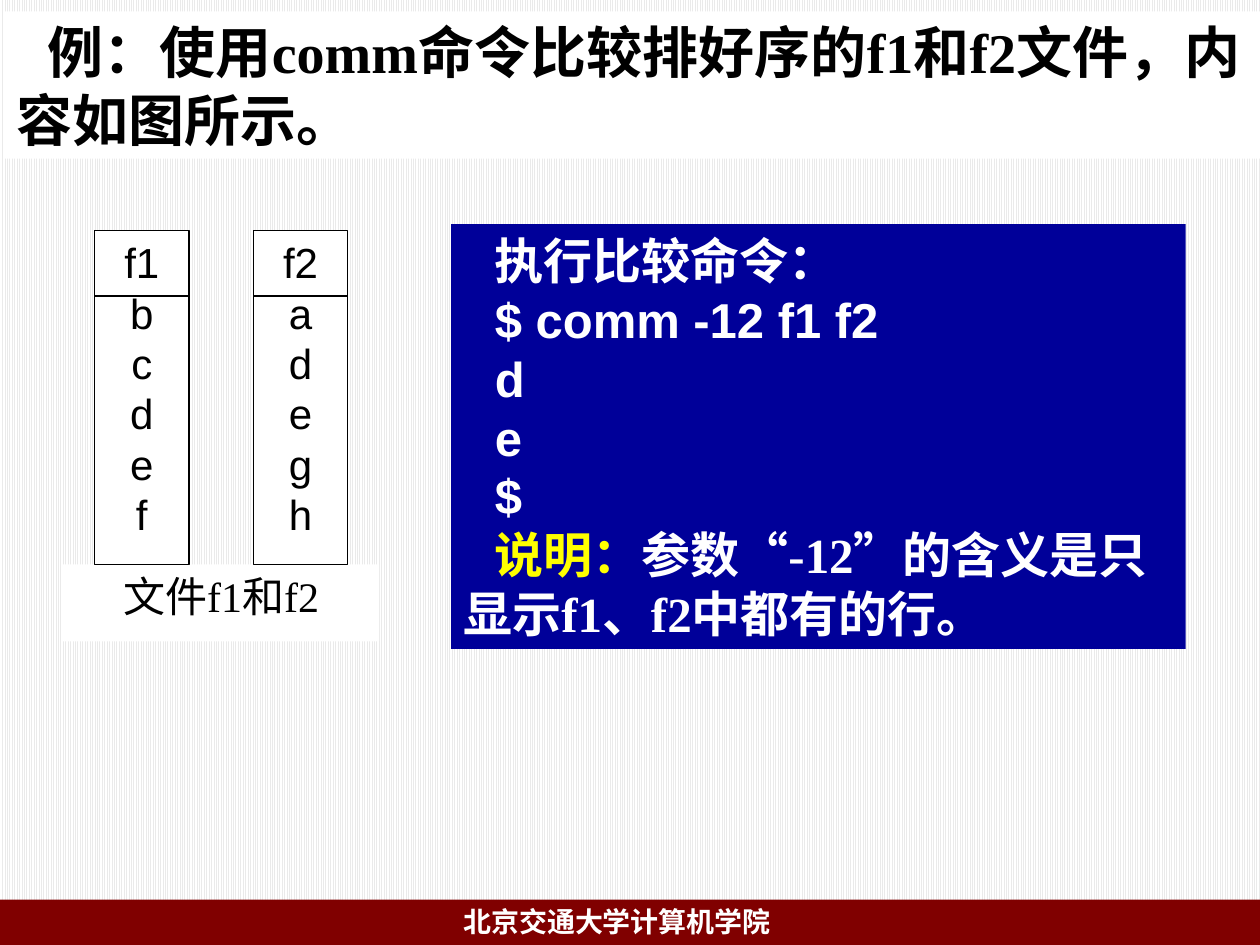
from pptx import Presentation
from pptx.dml.color import RGBColor as Color
from pptx.enum.dml import MSO_PATTERN as Pattern
from pptx.enum.shapes import MSO_CONNECTOR as Connector, MSO_SHAPE as Shape
from pptx.enum.text import MSO_ANCHOR as Anchor, PP_ALIGN as Align
from pptx.oxml.ns import qn
from pptx.util import Inches, Pt
from lxml.etree import SubElement

theme = {
    "white": Color(255, 255, 255), "black": Color(0, 0, 0),
    "stripe": Color(0xEA, 0xEA, 0xEA), "footer": Color(0x80, 0, 0),
    "panel": Color(0, 0, 0x99), "accent": Color(255, 255, 0),
    "serif": "Times New Roman", "sans": "Arial",
    "title": Pt(32), "command": Pt(28), "file": Pt(24), "school": Pt(16),
    "rule": Pt(0.75), "indent": Inches(0.25),
}

deck = Presentation()
deck.slide_width, deck.slide_height = Inches(10), Inches(7.5)
page = deck.slides.add_slide(deck.slide_layouts[6])
backdrop = page.background.fill
backdrop.patterned()
backdrop.pattern = Pattern.LIGHT_VERTICAL
backdrop.fore_color.rgb = theme["stripe"]
backdrop.back_color.rgb = theme["white"]


def add_box(place, fill, outlined=False):
    box = page.shapes.add_shape(Shape.RECTANGLE, *map(Inches, place))
    box.shadow.inherit = False
    box.fill.solid()
    box.fill.fore_color.rgb = theme[fill]
    if outlined:
        box.line.color.rgb = theme["black"]
        box.line.width = theme["rule"]
    else:
        box.line.fill.background()
    return box


def write(box, lines, size, align=Align.LEFT, anchor=Anchor.TOP, indent=0, bold=False):
    frame = box.text_frame
    frame.word_wrap = True
    frame.vertical_anchor = anchor
    for number, spans in enumerate(lines):
        para = frame.paragraphs[0] if number == 0 else frame.add_paragraph()
        para.alignment = align
        if indent:
            para._p.get_or_add_pPr().set("indent", str(indent))
        for text, face, color in spans:
            span = para.add_run()
            span.text = text
            style = {"name": theme[face], "size": theme[size], "bold": bold}
            for key, value in style.items():
                setattr(span.font, key, value)
            span.font.color.rgb = theme[color]


add_box((0, 7.14, 10, 0.36), "footer")
school = page.shapes.add_textbox(*map(Inches, (3.58, 7.13, 3.32, 0.37)))
write(school, [[("北京交通大学计算机学院", "serif", "white")]], "school", bold=True)

passage = {"anchor": Anchor.MIDDLE, "indent": theme["indent"], "bold": True}
heading = add_box((0.03, 0.09, 9.97, 1.17), "white")
write(heading, [[("例：使用comm命令比较排好序的f1和f2文件，内容如图所示。", "serif", "black")]],
      "title", **passage)

caption = add_box((0.5, 4.48, 2.51, 0.61), "white")
write(caption, [[("文件f1和f2", "serif", "black")]], "file", Align.CENTER)

file_top, file_width, file_height, header_height = 1.83, 0.75, 2.65, 0.52
files = [["f1", *"bcdef"], ["f2", *"adegh"]]
for column, rows in enumerate(files):
    left = 0.75 + column * 1.26
    listing = add_box((left, file_top, file_width, file_height), "white", outlined=True)
    write(listing, [[(row, "sans", "black")] for row in rows], "file", Align.CENTER)
    rule_y = file_top + header_height
    ends = map(Inches, (left, rule_y, left + file_width, rule_y))
    rule = page.shapes.add_connector(Connector.STRAIGHT, *ends)
    rule.line.color.rgb = theme["black"]
    rule.line.width = theme["rule"]
    SubElement(rule._element.spPr, qn("a:effectLst"))

session = [[(line, "sans", "white")] for line in ("$ comm -12 f1 f2", "d", "e", "$")]
panel = add_box((3.58, 1.78, 5.83, 3.37), "panel")
write(panel, [
    [("执行比较命令：", "serif", "white")],
    *session,
    [("说明：", "serif", "accent"),
     ("参数“-12”的含义是只显示f1、f2中都有的行。", "serif", "white")],
], "command", **passage)

deck.save("out.pptx")
